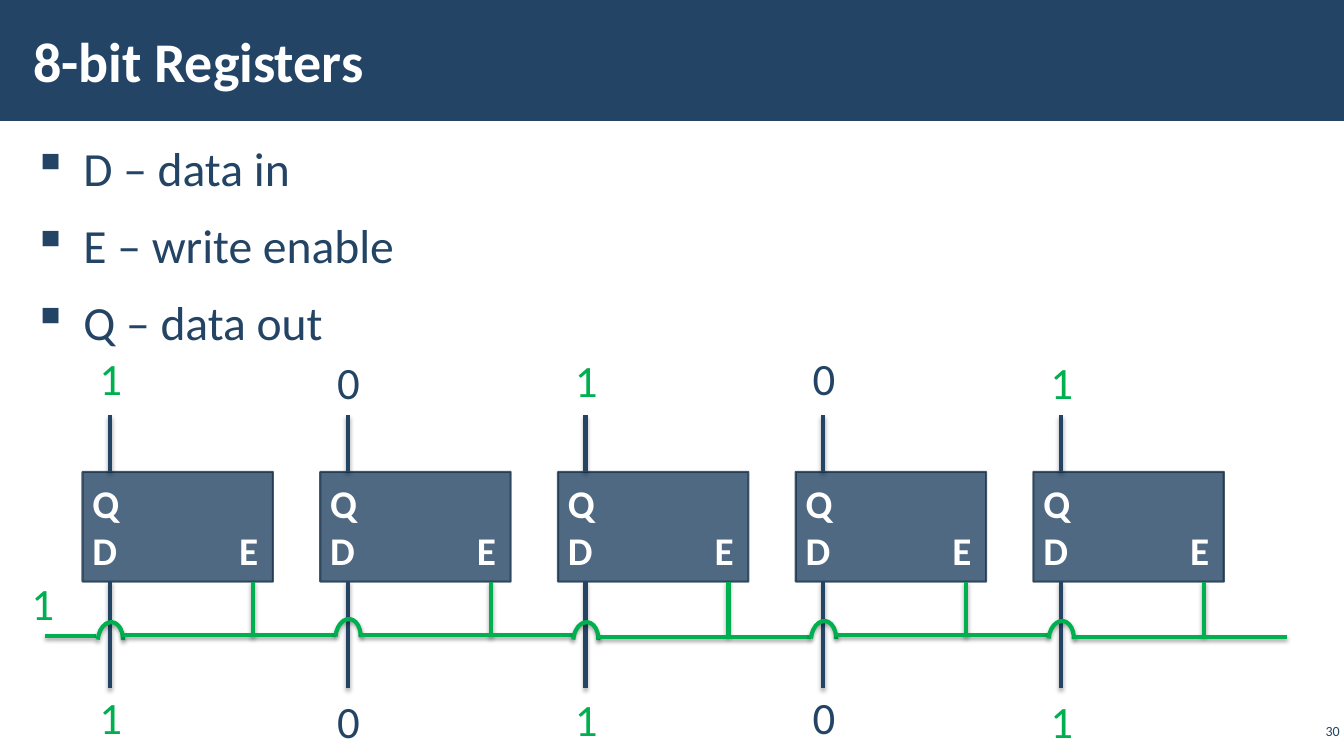
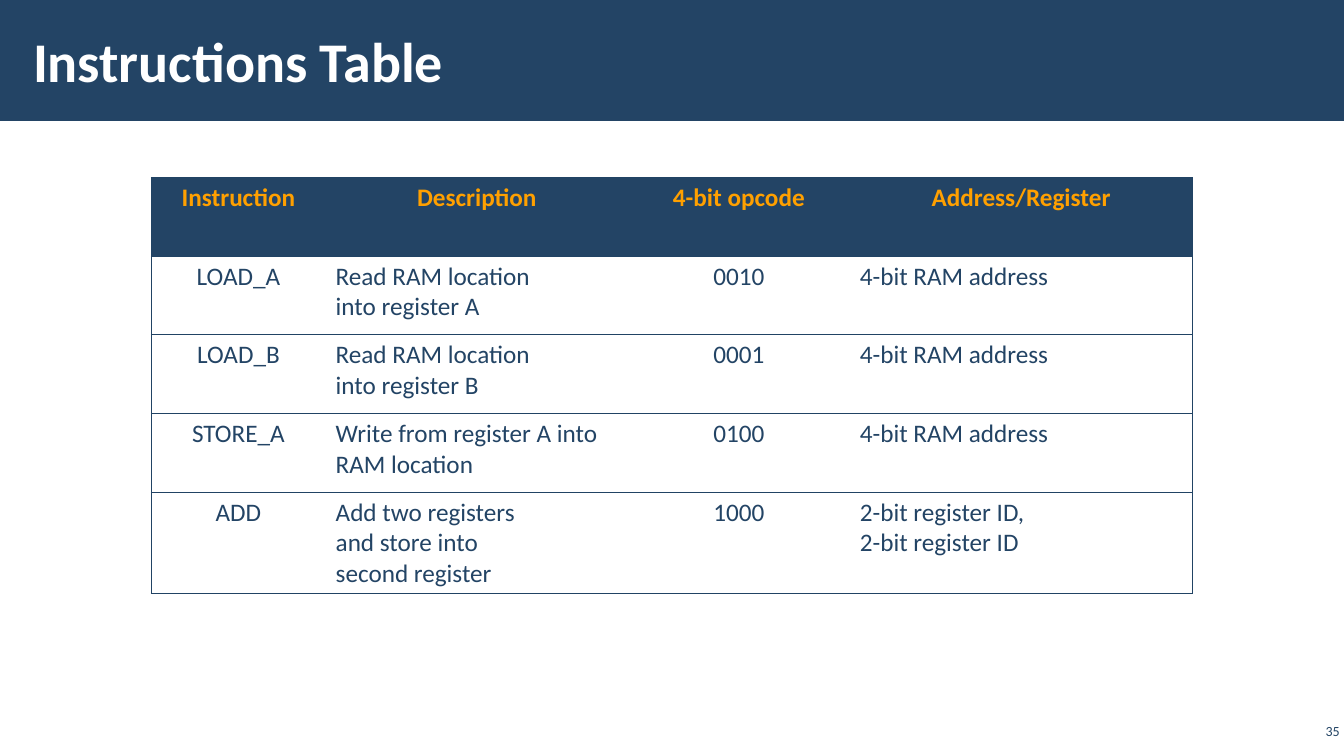
"""Build two lecture slides: a row of one-bit registers and an instruction table."""

from dataclasses import dataclass

from lxml.etree import Element, SubElement
from pptx import Presentation
from pptx.dml.color import RGBColor
from pptx.enum.shapes import MSO_CONNECTOR, MSO_SHAPE
from pptx.enum.text import MSO_ANCHOR, PP_ALIGN
from pptx.oxml.ns import qn
from pptx.util import Pt

NAVY = RGBColor(0x23, 0x44, 0x65)
DARK_NAVY = RGBColor(0x1A, 0x33, 0x4C)
RULE_NAVY = RGBColor(0x21, 0x43, 0x64)
GREEN = RGBColor(0x00, 0xB0, 0x50)
ORANGE = RGBColor(0xFF, 0xA0, 0x00)
WHITE = RGBColor(0xFF, 0xFF, 0xFF)
FONT = "Calibri"

SLIDE_WIDTH, SLIDE_HEIGHT = 960, 540
BAND_HEIGHT = 86.4
WIRE_WIDTH = 3

REGISTER_LEFT, REGISTER_TOP = 59, 337
REGISTER_WIDTH, REGISTER_HEIGHT = 136, 78.5
REGISTER_PITCH = 169.8
REGISTER_BOTTOM = REGISTER_TOP + REGISTER_HEIGHT
DATA_OFFSET, ENABLE_OFFSET = 19.6, 121.7
OUTPUT_TOP, INPUT_BOTTOM, ENABLE_BOTTOM = 296.6, 491.8, 455
BUS_OFFSET, BUS_LENGTH = 28.2, 152.6
INPUT_LABEL_DROP = 241.9

COLUMN_WIDTHS = (124.6, 216, 158.4, 244.8)
ROW_HEIGHT = 56.2
CENTRED_COLUMNS = (0, 2)


@dataclass(frozen=True)
class Box:
    left: float
    top: float
    width: float
    height: float

    def lengths(self) -> tuple:
        return Pt(self.left), Pt(self.top), Pt(self.width), Pt(self.height)


@dataclass(frozen=True)
class TextStyle:
    size: float
    color: RGBColor
    bold: bool = False
    align: PP_ALIGN = PP_ALIGN.LEFT


@dataclass(frozen=True)
class Register:
    bit: str
    label_top: float
    hop_top: float
    bus_y: float


@dataclass(frozen=True)
class Instruction:
    name: str
    description: str
    opcode: str
    operand: str

    def cells(self) -> tuple:
        return self.name, self.description, self.opcode, self.operand


TITLE = TextStyle(40, WHITE, bold=True)
PAGE_NUMBER = TextStyle(10, NAVY, align=PP_ALIGN.RIGHT)
BULLET = TextStyle(34, NAVY)
PORT = TextStyle(28, WHITE, bold=True)

REGISTERS = (
    Register("1", 247, 448.6, 453.6),
    Register("0", 249.8, 446.4, 453.6),
    Register("1", 248.4, 448.6, 455),
    Register("0", 247, 447.8, 453.6),
    Register("1", 249.8, 447.8, 455),
)

HEADINGS = Instruction("Instruction", "Description", "4-bit opcode", "Address/Register")
INSTRUCTIONS = (
    Instruction("LOAD_A", "Read RAM location\vinto register A", "0010", "4-bit RAM address"),
    Instruction("LOAD_B", "Read RAM location\ninto register B", "0001", "4-bit RAM address"),
    Instruction("STORE_A", "Write from register A into RAM location", "0100", "4-bit RAM address"),
    Instruction(
        "ADD",
        "Add two registers\vand store into\vsecond register",
        "1000",
        "2-bit register ID,\n2-bit register ID",
    ),
)


def write(frame, text: str, style: TextStyle) -> None:
    frame.text = text
    for paragraph in frame.paragraphs:
        paragraph.alignment = style.align
        for run in paragraph.runs:
            run.font.name = FONT
            run.font.size = Pt(style.size)
            run.font.bold = style.bold
            run.font.color.rgb = style.color


def add_text(slide, box: Box, text: str, style: TextStyle, side: float = 7.2,
             edge: float = 3.6, anchor=MSO_ANCHOR.TOP, wrap: bool = True):
    frame = slide.shapes.add_textbox(*box.lengths()).text_frame
    frame.word_wrap = wrap
    frame.vertical_anchor = anchor
    frame.margin_left = frame.margin_right = Pt(side)
    frame.margin_top = frame.margin_bottom = Pt(edge)
    write(frame, text, style)
    return frame


def add_base(deck, title: str, number: int):
    slide = deck.slides.add_slide(deck.slide_layouts[6])
    band = slide.shapes.add_shape(
        MSO_SHAPE.RECTANGLE, *Box(0, 0, SLIDE_WIDTH, BAND_HEIGHT).lengths())
    band.shadow.inherit = False
    band.fill.solid()
    band.fill.fore_color.rgb = NAVY
    band.line.fill.background()
    add_text(slide, Box(15, 8, 749, 70), title, TITLE, 8.6, 3, MSO_ANCHOR.MIDDLE)
    add_text(slide, Box(926, 514, 34, 16), str(number), PAGE_NUMBER, 3, 3, MSO_ANCHOR.MIDDLE)
    return slide


def style_wire(wire, color: RGBColor) -> None:
    wire.line.color.rgb = color
    wire.line.width = Pt(WIRE_WIDTH)
    effects = SubElement(wire.element.spPr, qn("a:effectLst"))
    shadow = SubElement(effects, qn("a:outerShdw"), blurRad=str(Pt(3.1)),
                        dist=str(Pt(1.8)), dir="5400000", rotWithShape="0")
    black = SubElement(shadow, qn("a:srgbClr"), val="000000")
    SubElement(black, qn("a:alpha"), val="35000")


def add_wire(slide, x1: float, y1: float, x2: float, y2: float, color: RGBColor) -> None:
    wire = slide.shapes.add_connector(
        MSO_CONNECTOR.STRAIGHT, Pt(x1), Pt(y1), Pt(x2), Pt(y2))
    style_wire(wire, color)


def add_hop(slide, left: float, top: float) -> None:
    hop = slide.shapes.add_shape(MSO_SHAPE.ARC, *Box(left, top, 26.6, 18).lengths())
    hop.adjustments[0] = 162
    hop.adjustments[1] = 49.292
    hop.rotation = 275.2
    hop.fill.background()
    style_wire(hop, GREEN)


def add_bit(slide, left: float, top: float, bit: str) -> None:
    color = GREEN if bit == "1" else NAVY
    style = TextStyle(32, color, align=PP_ALIGN.CENTER)
    add_text(slide, Box(left, top, 31, 46), bit, style, wrap=False)


def add_register_body(slide, left: float) -> None:
    body = slide.shapes.add_shape(
        MSO_SHAPE.RECTANGLE,
        *Box(left, REGISTER_TOP, REGISTER_WIDTH, REGISTER_HEIGHT).lengths())
    body.shadow.inherit = False
    body.fill.solid()
    body.fill.fore_color.rgb = NAVY
    body.line.color.rgb = DARK_NAVY
    body.line.width = Pt(1.5)
    for color in body.element.spPr.iter(qn("a:srgbClr")):
        SubElement(color, qn("a:alpha"), val="80000")
    body.text_frame.vertical_anchor = MSO_ANCHOR.MIDDLE
    write(body.text_frame, "Q\nD\tE", PORT)
    properties = body.text_frame.paragraphs[1]._p.get_or_add_pPr()
    tabs = SubElement(properties, qn("a:tabLst"))
    SubElement(tabs, qn("a:tab"), pos=str(Pt(104.8)), algn="l")


def add_register(slide, left: float, register: Register) -> None:
    data_x, enable_x = left + DATA_OFFSET, left + ENABLE_OFFSET
    bus_x = left + BUS_OFFSET
    add_register_body(slide, left)
    add_wire(slide, data_x, OUTPUT_TOP, data_x, REGISTER_TOP, NAVY)
    add_wire(slide, data_x, REGISTER_BOTTOM, data_x, INPUT_BOTTOM, NAVY)
    add_wire(slide, enable_x, REGISTER_BOTTOM, enable_x, ENABLE_BOTTOM, GREEN)
    add_hop(slide, left + 6.5, register.hop_top)
    add_wire(slide, bus_x + BUS_LENGTH, register.bus_y, bus_x, register.bus_y, GREEN)
    for top in (register.label_top, register.label_top + INPUT_LABEL_DROP):
        add_bit(slide, left + 4.7, top, register.bit)


def add_bullets(slide, box: Box, text: str) -> None:
    frame = add_text(slide, box, text, BULLET, 8.6, 3)
    for paragraph in frame.paragraphs:
        paragraph.line_spacing = 1.05
        paragraph.space_before = paragraph.space_after = Pt(6)
        properties = paragraph._p.get_or_add_pPr()
        properties.set("marL", str(Pt(36)))
        properties.set("indent", str(Pt(-36)))
        SubElement(properties, qn("a:buChar"), char="▪")


def set_borders(cell, first: bool, last: bool) -> None:
    properties = cell._tc.get_or_add_tcPr()
    edges = (("a:lnL", first), ("a:lnR", last), ("a:lnT", True), ("a:lnB", True))
    for position, (tag, visible) in enumerate(edges):
        border = Element(qn(tag), w=str(Pt(0.75)))
        if visible:
            fill = SubElement(border, qn("a:solidFill"))
            SubElement(fill, qn("a:srgbClr"), val=str(RULE_NAVY))
        else:
            SubElement(border, qn("a:noFill"))
        properties.insert(position, border)


def add_instruction_table(slide) -> None:
    rows = (HEADINGS, *INSTRUCTIONS)
    box = Box(108, 126.8, sum(COLUMN_WIDTHS), ROW_HEIGHT * len(rows))
    table = slide.shapes.add_table(len(rows), len(COLUMN_WIDTHS), *box.lengths()).table
    table.horz_banding = False
    for column, width in zip(table.columns, COLUMN_WIDTHS):
        column.width = Pt(width)
    for r, instruction in enumerate(rows):
        table.rows[r].height = Pt(ROW_HEIGHT)
        heading = r == 0
        for c, text in enumerate(instruction.cells()):
            cell = table.cell(r, c)
            if heading:
                cell.fill.solid()
                cell.fill.fore_color.rgb = NAVY
            else:
                cell.fill.background()
            centred = heading or c in CENTRED_COLUMNS
            align = PP_ALIGN.CENTER if centred else PP_ALIGN.LEFT
            write(cell.text_frame, text,
                  TextStyle(18, ORANGE if heading else NAVY, heading, align))
            set_borders(cell, c == 0, c == len(COLUMN_WIDTHS) - 1)


def main() -> None:
    deck = Presentation()
    deck.slide_width, deck.slide_height = Pt(SLIDE_WIDTH), Pt(SLIDE_HEIGHT)

    registers_slide = add_base(deck, "8-bit Registers", 30)
    add_bullets(registers_slide, Box(15, 94.3, 930, 162),
                "D – data in\nE – write enable\nQ – data out")
    add_wire(registers_slide, 68.4, 454.3, 32.4, 454.3, GREEN)
    add_bit(registers_slide, 15, 407.5, "1")
    for index, register in enumerate(REGISTERS):
        add_register(registers_slide, REGISTER_LEFT + index * REGISTER_PITCH, register)

    add_instruction_table(add_base(deck, "Instructions Table", 35))
    deck.save("out.pptx")


if __name__ == "__main__":
    main()
